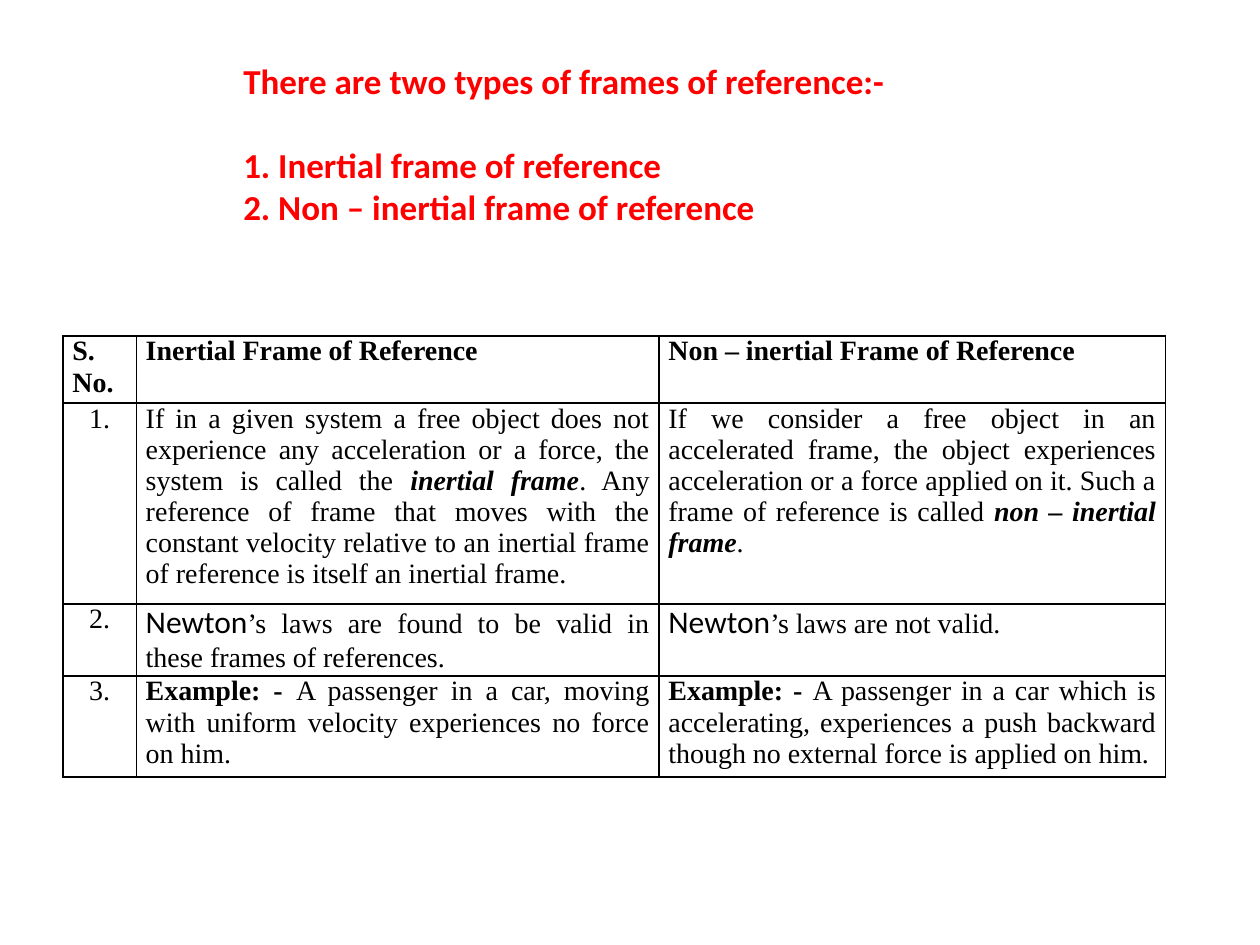
from lxml.etree import SubElement
from pptx import Presentation
from pptx.dml.color import RGBColor
from pptx.enum.text import MSO_ANCHOR as Anchor, MSO_AUTO_SIZE as AutoSize, PP_ALIGN as Align
from pptx.oxml.ns import qn
from pptx.util import Pt

COLORS = {"heading": "FF0000", "ink": "000000"}

HEADING = "There are two types of frames of reference:-"
FRAME_TYPES = ["1. Inertial frame of reference", "2. Non – inertial frame of reference"]

# Each cell is a list of (text, style) runs.
COMPARISON = [
    [
        [("S. No.", "bold")],
        [("Inertial Frame of Reference", "bold")],
        [("Non – inertial Frame of Reference", "bold")],
    ],
    [
        [("1.", "plain")],
        [("If in a given system a free object does not experience any acceleration "
          "or a force, the system is called the ", "plain"),
         ("inertial frame", "term"),
         (". Any reference of frame that moves with the constant velocity relative to "
          "an inertial frame of reference is itself an inertial frame.", "plain")],
        [("If we consider a free object in an accelerated frame, the object experiences "
          "acceleration or a force applied on it. Such a frame of reference is called ", "plain"),
         ("non – inertial frame", "term"),
         (".", "plain")],
    ],
    [
        [("2.", "plain")],
        [("Newton", "name"),
         ("’s laws are found to be valid in these frames of references.", "plain")],
        [("Newton", "name"), ("’s laws are not valid.", "plain")],
    ],
    [
        [("3.", "plain")],
        [("Example: - ", "bold"),
         ("A passenger in a car, moving with uniform velocity experiences no force on him.",
          "plain")],
        [("Example: - ", "bold"),
         ("A passenger in a car which is accelerating, experiences a push backward "
          "though no external force is applied on him.", "plain")],
    ],
]

PLAIN = {"name": "Times New Roman", "size": Pt(16), "bold": False, "italic": False}
STYLES = {
    "plain": PLAIN,
    "bold": {**PLAIN, "bold": True},
    "term": {**PLAIN, "bold": True, "italic": True},
    "name": {**PLAIN, "name": "Calibri", "size": Pt(18)},
    "heading": {"name": "Calibri", "size": Pt(20), "bold": True, "italic": False},
}

HEADING_LEFT, HEADING_TOP, HEADING_WIDTH = 131.8, 30.2, 468
LINE, INSET = 24, 3.6
TABLE_LEFT, TABLE_TOP = 36, 192
COLUMN_WIDTHS = [41.9, 298.7, 289.4]
ROW_HEIGHTS = [38.3, 114.8, 41.2, 57.7]
CELL_FORMAT = {"margin_left": Pt(5.4), "margin_right": Pt(5.4),
               "margin_top": 0, "margin_bottom": 0}


def apply(target, values):
    for attribute, value in values.items():
        setattr(target, attribute, value)


def add_run(paragraph, text, style, color):
    run = paragraph.add_run()
    run.text = text
    apply(run.font, STYLES[style])
    run.font.color.rgb = RGBColor.from_string(COLORS[color])


def fill_placeholder(placeholder, lines, top):
    apply(placeholder, {"left": Pt(HEADING_LEFT), "top": Pt(top),
                        "width": Pt(HEADING_WIDTH),
                        "height": Pt(len(lines) * LINE + 2 * INSET)})
    frame = placeholder.text_frame
    apply(frame, {"auto_size": AutoSize.NONE, "word_wrap": True,
                  "vertical_anchor": Anchor.TOP})
    for number, line in enumerate(lines):
        paragraph = frame.add_paragraph() if number else frame.paragraphs[0]
        properties = paragraph._p.get_or_add_pPr()
        properties.set("marL", "0")
        properties.set("indent", "0")
        SubElement(properties, qn("a:buNone"))
        apply(paragraph, {"alignment": Align.JUSTIFY, "space_before": Pt(0)})
        add_run(paragraph, line, "heading", "heading")


def add_borders(cell):
    properties = cell._tc.get_or_add_tcPr()
    for side in ("lnL", "lnR", "lnT", "lnB"):
        border = SubElement(properties, qn(f"a:{side}"), w=str(Pt(1)))
        fill = SubElement(border, qn("a:solidFill"))
        SubElement(fill, qn("a:srgbClr"), val=COLORS["ink"])


def add_comparison(slide):
    table = slide.shapes.add_table(
        len(ROW_HEIGHTS), len(COLUMN_WIDTHS), Pt(TABLE_LEFT), Pt(TABLE_TOP),
        Pt(sum(COLUMN_WIDTHS)), Pt(sum(ROW_HEIGHTS))).table
    apply(table, {"first_row": False, "horz_banding": False})
    for column, width in zip(table.columns, COLUMN_WIDTHS):
        column.width = Pt(width)
    for row, height in zip(table.rows, ROW_HEIGHTS):
        row.height = Pt(height)
    for r, row in enumerate(COMPARISON):
        for c, runs in enumerate(row):
            cell = table.cell(r, c)
            apply(cell, CELL_FORMAT)
            add_borders(cell)
            cell.fill.background()
            paragraph = cell.text_frame.paragraphs[0]
            paragraph.alignment = Align.CENTER if r and not c else Align.JUSTIFY
            for text, style in runs:
                add_run(paragraph, text, style, "ink")


def main():
    deck = Presentation()
    apply(deck, {"slide_width": Pt(720), "slide_height": Pt(540)})
    slide = deck.slides.add_slide(deck.slide_layouts[1])
    fill_placeholder(slide.shapes.title, [HEADING], HEADING_TOP)
    fill_placeholder(slide.placeholders[1], FRAME_TYPES, HEADING_TOP + 2 * LINE)
    add_comparison(slide)
    deck.save("out.pptx")


if __name__ == "__main__":
    main()
